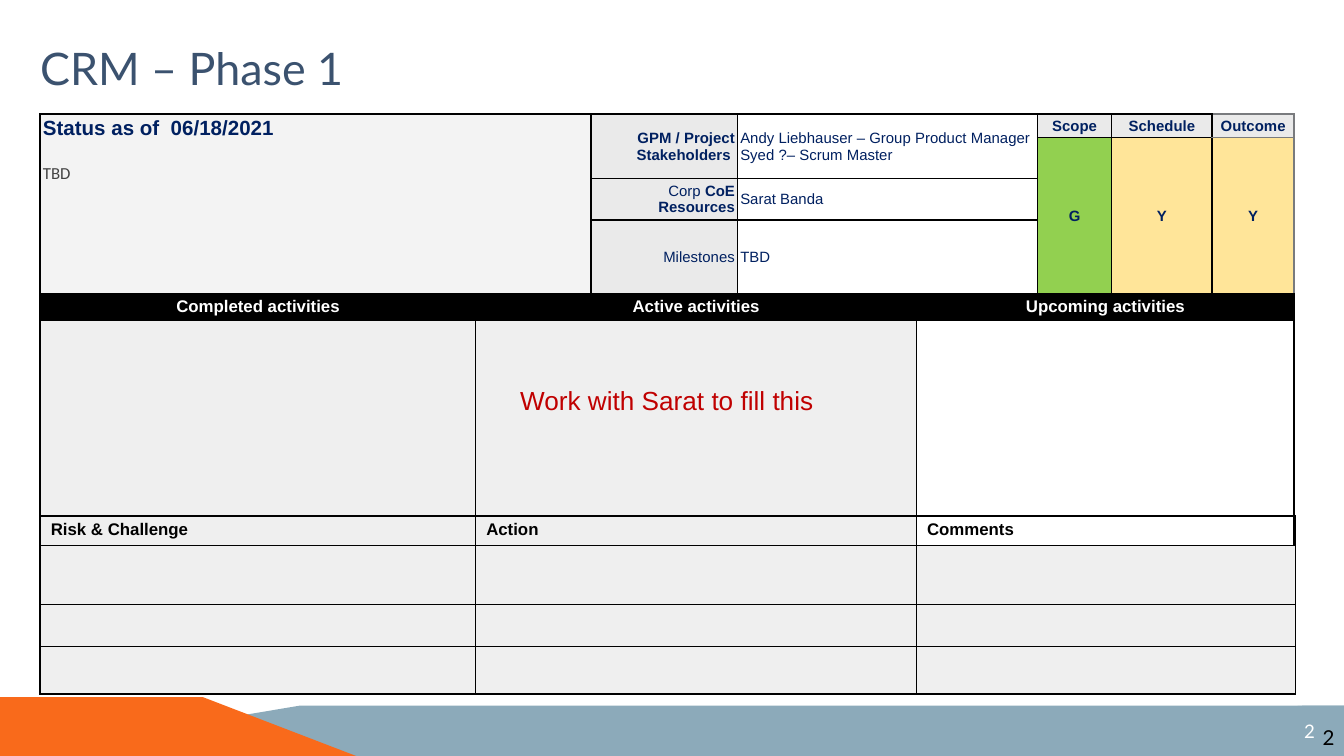
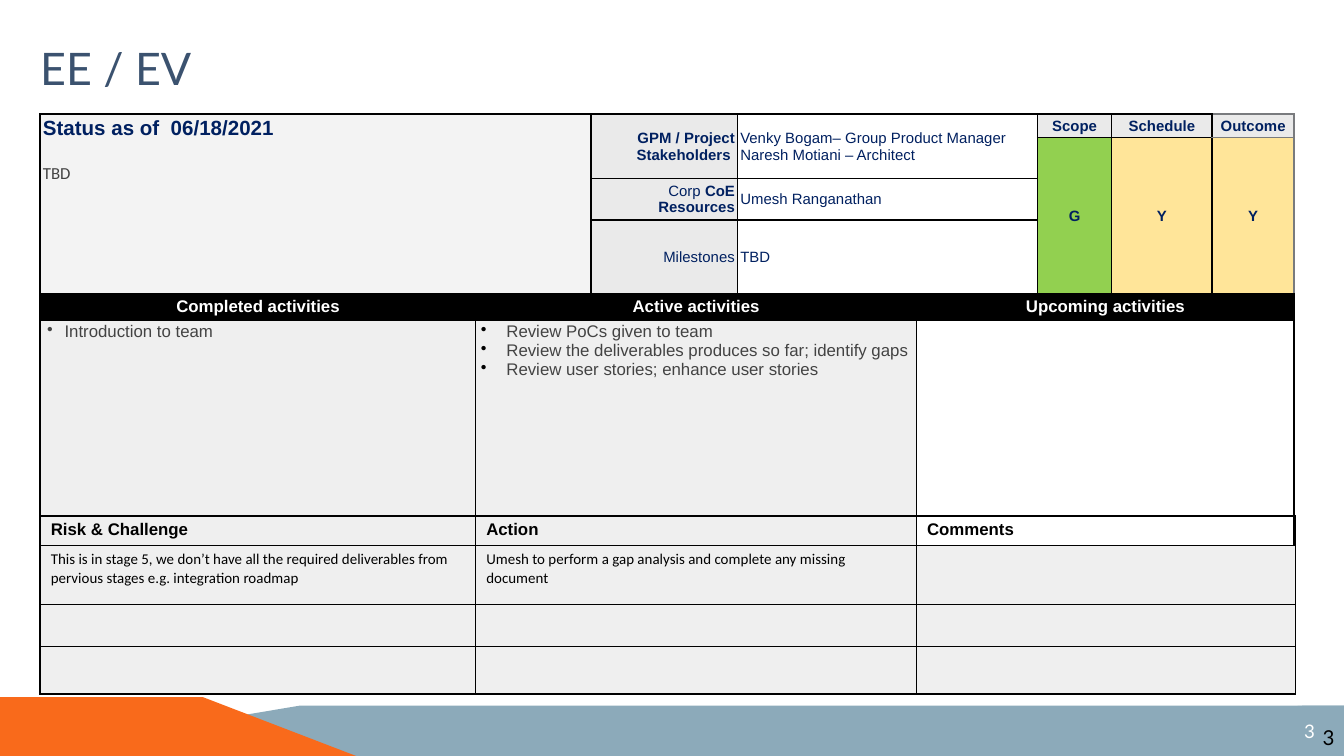
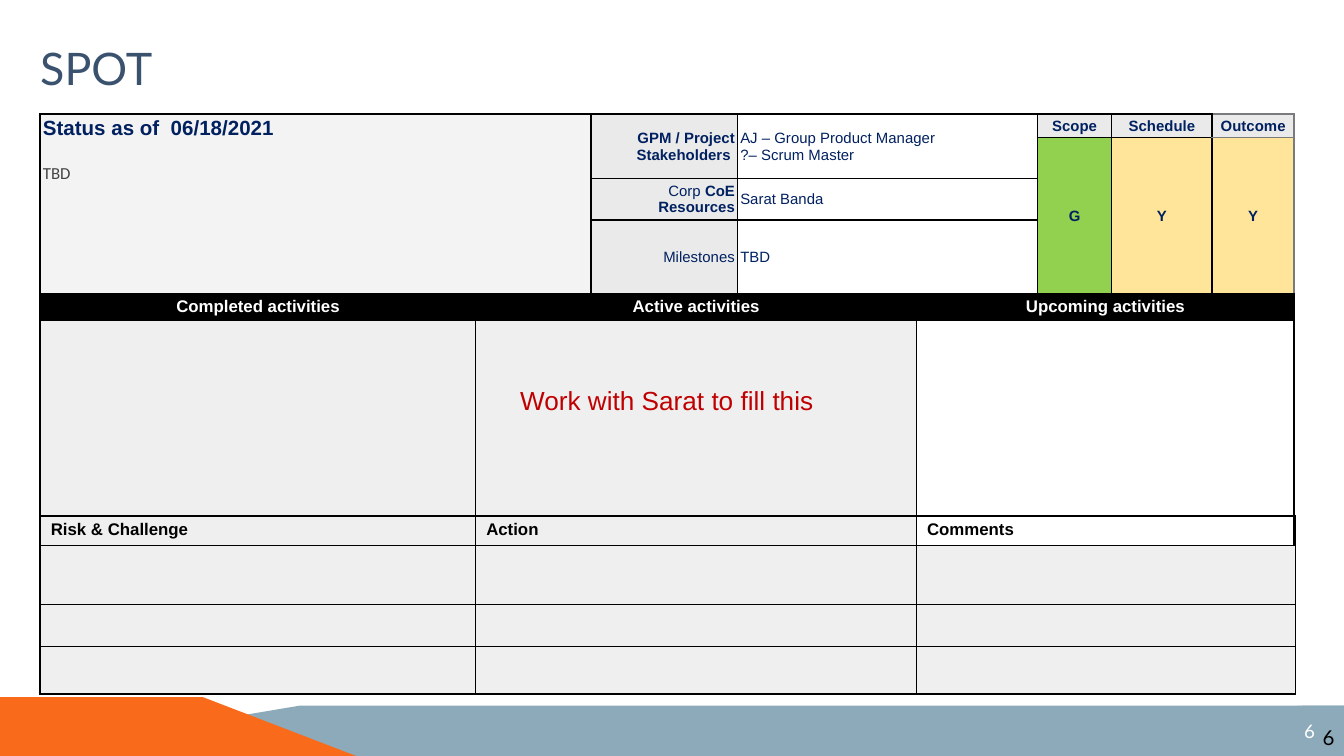
import dataclasses

import lxml.etree
import pptx
import pptx.dml.color
import pptx.enum.shapes
import pptx.enum.text
import pptx.oxml
import pptx.oxml.ns
import pptx.util

Cm = pptx.util.Cm
Pt = pptx.util.Pt
qn = pptx.oxml.ns.qn
ALIGN = pptx.enum.text.PP_ALIGN
ANCHOR = pptx.enum.text.MSO_ANCHOR
SHAPE = pptx.enum.shapes.MSO_SHAPE


@dataclasses.dataclass(frozen=True)
class Theme:
    heading_font: str = "Lato"
    body_font: str = "Arial"
    note_font: str = "Calibri"
    title: str = "3B526F"
    navy: str = "002060"
    grey_text: str = "434343"
    red: str = "C00000"
    black: str = "000000"
    white: str = "FFFFFF"
    orange: str = "F96A1B"
    blue: str = "8CAABA"
    status: str = "F3F3F3"
    label: str = "EAEAEA"
    panel: str = "EFEFEF"
    green: str = "92D050"
    yellow: str = "FFE599"
    edge: str = "797B7E"
    title_size: int = 24
    prompt_size: int = 14
    status_size: int = 11
    page_size: int = 10
    head_size: int = 9
    cell_size: int = 8


T = Theme()
RATINGS = [("Scope", "G", T.green), ("Schedule", "Y", T.yellow), ("Outcome", "Y", T.yellow)]
PROMPT = "Work with Sarat to fill this"

REPORTS = [
    {
        "title": "CRM – Phase 1",
        "page": "2",
        "stakeholders": ["Andy Liebhauser – Group Product Manager", "Syed ?– Scrum Master"],
        "resource": "Sarat Banda",
        "prompt": PROMPT,
    },
    {
        "title": "EE / EV",
        "page": "3",
        "stakeholders": ["Venky Bogam– Group Product Manager", "Naresh Motiani – Architect"],
        "resource": "Umesh Ranganathan",
        "completed": ["Introduction to team"],
        "active": [
            "Review PoCs given to team",
            "Review the deliverables produces so far; identify gaps",
            "Review user stories; enhance user stories",
        ],
        "risks": [
            "This is in stage 5, we don’t have all the required deliverables from "
            "pervious stages e.g. integration roadmap",
            "Umesh to perform a gap analysis and complete any missing document",
        ],
    },
    {
        "title": "SPOT",
        "page": "6",
        "stakeholders": ["AJ – Group Product Manager", "?– Scrum Master"],
        "resource": "Sarat Banda",
        "prompt": PROMPT,
    },
]


def rgb(color):
    return pptx.dml.color.RGBColor.from_string(color)


def write(tf, text, size=T.cell_size, color=T.navy, font=T.body_font, bold=False,
          align=ALIGN.LEFT, before=0, bullet=None, indent=(0, 0), more=False):
    p = tf.add_paragraph() if more else tf.paragraphs[0]
    if bullet:
        pPr = p._p.get_or_add_pPr()
        pPr.set("marL", str(Cm(indent[0])))
        pPr.set("indent", str(Cm(indent[1])))
        bu_color = lxml.etree.SubElement(pPr, qn("a:buClr"))
        lxml.etree.SubElement(bu_color, qn("a:srgbClr")).set("val", bullet)
        lxml.etree.SubElement(pPr, qn("a:buChar")).set("char", "•")
    p.alignment = align
    if before:
        p.space_before = Pt(before)
    for part, strong in [(text, bold)] if isinstance(text, str) else text:
        r = p.add_run()
        r.text = part
        r.font.size, r.font.name, r.font.bold = Pt(size), font, strong
        r.font.color.rgb = rgb(color)


def write_list(tf, lines, **fmt):
    for i, line in enumerate(lines):
        write(tf, line, more=i > 0, **fmt)


def set_insets(target, left, top, right, bottom):
    target.margin_left, target.margin_top = Cm(left), Cm(top)
    target.margin_right, target.margin_bottom = Cm(right), Cm(bottom)


def paint(sp, color):
    sp.shadow.inherit = False
    sp.fill.solid()
    sp.fill.fore_color.rgb = rgb(color)
    sp.line.fill.background()


def set_borders(cell, left=T.black, right=T.black, top=T.black, bottom=T.black):
    tcPr = cell._tc.get_or_add_tcPr()
    for i, (side, color) in enumerate(zip("LRTB", (left, right, top, bottom))):
        for old in tcPr.findall(qn(f"a:ln{side}")):
            tcPr.remove(old)
        ln = pptx.oxml.parse_xml(
            f'<a:ln{side} {pptx.oxml.ns.nsdecls("a")} w="12700"><a:solidFill>'
            f'<a:srgbClr val="{color}"/></a:solidFill></a:ln{side}>')
        tcPr.insert(i, ln)


def add_grid(s, x, y, cols, rows):
    frame = s.shapes.add_table(len(rows), len(cols), Cm(x), Cm(y), Cm(sum(cols)), Cm(sum(rows)))
    table = frame.table
    table.first_row = table.horz_banding = False
    for col, width in zip(table.columns, cols):
        col.width = Cm(width)
    for row, height in zip(table.rows, rows):
        row.height = Cm(height)
    for cell in table.iter_cells():
        set_insets(cell, 0.05, 0.05, 0.05, 0.05)
        cell.fill.background()
        set_borders(cell)
        end = cell.text_frame.paragraphs[0]._p.get_or_add_endParaRPr()
        end.set("sz", str(T.cell_size * 100))
    return table


def fill_cell(table, row, col, fill=None, span=(1, 1), lines=(), anchor=ANCHOR.MIDDLE, **fmt):
    cell = table.cell(row, col)
    if span != (1, 1):
        cell.merge(table.cell(row + span[0] - 1, col + span[1] - 1))
    if fill:
        cell.fill.solid()
        cell.fill.fore_color.rgb = rgb(fill)
    cell.vertical_anchor = anchor
    write_list(cell.text_frame, lines, **fmt)
    return cell


def add_status_table(s, x, y, report):
    table = add_grid(s, x, y, [8.23, 2.18, 2.77, 3.38, 2.29, 1.4, 1.9, 1.55],
                     [0.41, 0.76, 0.74, 1.36, 0.46, 4.32, 2.74])
    status = fill_cell(table, 0, 0, T.status, (4, 2), ["Status as of  06/18/2021"],
                       ANCHOR.TOP, size=T.status_size, bold=True)
    write(status.text_frame, "TBD", size=T.head_size, font=T.note_font,
          color=T.grey_text, before=13, more=True)

    facts = [
        (0, 2, [("GPM / Project Stakeholders ", True)], report["stakeholders"]),
        (2, 1, [("Corp ", False), ("CoE Resources", True)], [report["resource"]]),
        (3, 1, "Milestones", ["TBD"]),
    ]
    for row, height, label, values in facts:
        fill_cell(table, row, 2, T.label, (height, 1), [label], align=ALIGN.RIGHT)
        fill_cell(table, row, 3, T.white, (height, 2), values)

    for col, (name, grade, color) in enumerate(RATINGS, 5):
        head = fill_cell(table, 0, col, T.label, lines=[name], bold=True, align=ALIGN.CENTER)
        set_insets(head, 0, 0.05, 0, 0.05)
        fill_cell(table, 1, col, color, (3, 1), [grade], bold=True, align=ALIGN.CENTER)
    set_borders(table.cell(0, 7), right=T.edge, top=T.edge, bottom=T.edge)
    for row in range(1, 4):
        set_borders(table.cell(row, 7), right=T.edge, top=T.edge)

    activities = [
        (0, 1, "Completed activities", "completed", T.panel, T.grey_text, (0.36, -0.33)),
        (1, 3, "Active activities", "active", T.panel, T.black, (0.48, -0.48)),
        (4, 4, "Upcoming activities", "upcoming", None, T.black, (0.48, -0.48)),
    ]
    for col, width, name, key, fill, bullet, indent in activities:
        fill_cell(table, 4, col, T.black, (1, width), [name], size=T.head_size,
                  color=T.white, bold=True, align=ALIGN.CENTER)
        body = fill_cell(table, 5, col, fill, (1, width), report.get(key, []), ANCHOR.TOP,
                         size=T.head_size, color=T.grey_text, bullet=bullet, indent=indent)
        body.margin_left = Cm(0.1)
    fill_cell(table, 6, 0, span=(1, 8))


def add_risk_table(s, x, y, risks):
    table = add_grid(s, x, y, [8.23, 8.33, 7.16], [0.55, 1.11, 0.8, 0.89])
    for cell in table.iter_cells():
        set_insets(cell, 0.2, 0.09, 0.2, 0.09)
    for col, name in enumerate(["Risk & Challenge", "Action", "Comments"]):
        fill_cell(table, 0, col, lines=[name], anchor=ANCHOR.TOP, size=T.head_size,
                  color=T.black, bold=True)
        for row in range(1, 4):
            lines = risks[col:col + 1] if row == 1 else []
            fill_cell(table, row, col, T.panel, lines=lines, anchor=ANCHOR.TOP,
                      color=T.black, font=T.note_font)


def add_text(s, x, y, w, h, text, inset=(0.25, 0.13), **fmt):
    tf = s.shapes.add_textbox(Cm(x), Cm(y), Cm(w), Cm(h)).text_frame
    tf.word_wrap = True
    set_insets(tf, *inset, *inset)
    write(tf, text, **fmt)


def add_page_number(s, x, y, w, h, number):
    sp = s.shapes.add_shape(SHAPE.FLOWCHART_DELAY, Cm(x), Cm(y), Cm(w), Cm(h))
    paint(sp, T.blue)
    sp.element.spPr.find(qn("a:xfrm")).set("flipH", "1")
    sp.text_frame.vertical_anchor = ANCHOR.MIDDLE
    write(sp.text_frame, number, size=T.page_size, font=T.heading_font, color=T.white,
          align=ALIGN.CENTER)
    add_text(s, x, y + 0.18, w, 1.09, number, inset=(0.18, 0.18), size=T.status_size,
             font=T.heading_font, color=T.black, align=ALIGN.RIGHT)


def add_bands(s, layout, width, bottom):
    for sp in list(layout.placeholders)[1:]:
        sp.element.getparent().remove(sp.element)
    bands = [
        (T.blue, [(0, bottom), (5.66, 13.34), (width, 13.34), (width, bottom)]),
        (T.orange, [(0, bottom), (0, 13.18), (3.84, 13.18), (6.73, bottom)]),
    ]
    for color, points in bands:
        points = [(Cm(x), Cm(y)) for x, y in points]
        builder = s.shapes.build_freeform(*points[0])
        builder.add_line_segments(points[1:], close=True)
        sp = builder.convert_to_shape()
        paint(sp, color)
        layout.shapes.element.append(sp.element)


def set_title(s, x, y, w, h, text):
    sp = s.shapes.title
    sp.left, sp.top, sp.width, sp.height = Cm(x), Cm(y), Cm(w), Cm(h)
    tf = sp.text_frame
    tf.auto_size = pptx.enum.text.MSO_AUTO_SIZE.NONE
    tf.vertical_anchor = ANCHOR.TOP
    set_insets(tf, 0, 0, 0, 0)
    write(tf, text, size=T.title_size, font=T.heading_font, color=T.title)


def add_report(s, report):
    set_title(s, 0.76, 0.76, 22.86, 1.14, report["title"])
    add_page_number(s, 23.88, 13.34, 1.52, 0.95, report["page"])
    add_status_table(s, 0.76, 2.16, report)
    add_risk_table(s, 0.76, 9.75, report.get("risks", []))
    if "prompt" in report:
        add_text(s, 9.58, 7.14, 6.81, 0.86, report["prompt"], size=T.prompt_size, color=T.red)


def main():
    prs = pptx.Presentation()
    prs.slide_width, prs.slide_height = Cm(25.4), Cm(14.29)
    layout = prs.slide_layouts[5]
    for i, report in enumerate(REPORTS):
        s = prs.slides.add_slide(layout)
        if i == 0:
            add_bands(s, layout, 25.4, 14.29)
        add_report(s, report)
    prs.save("out.pptx")


if __name__ == "__main__":
    main()
